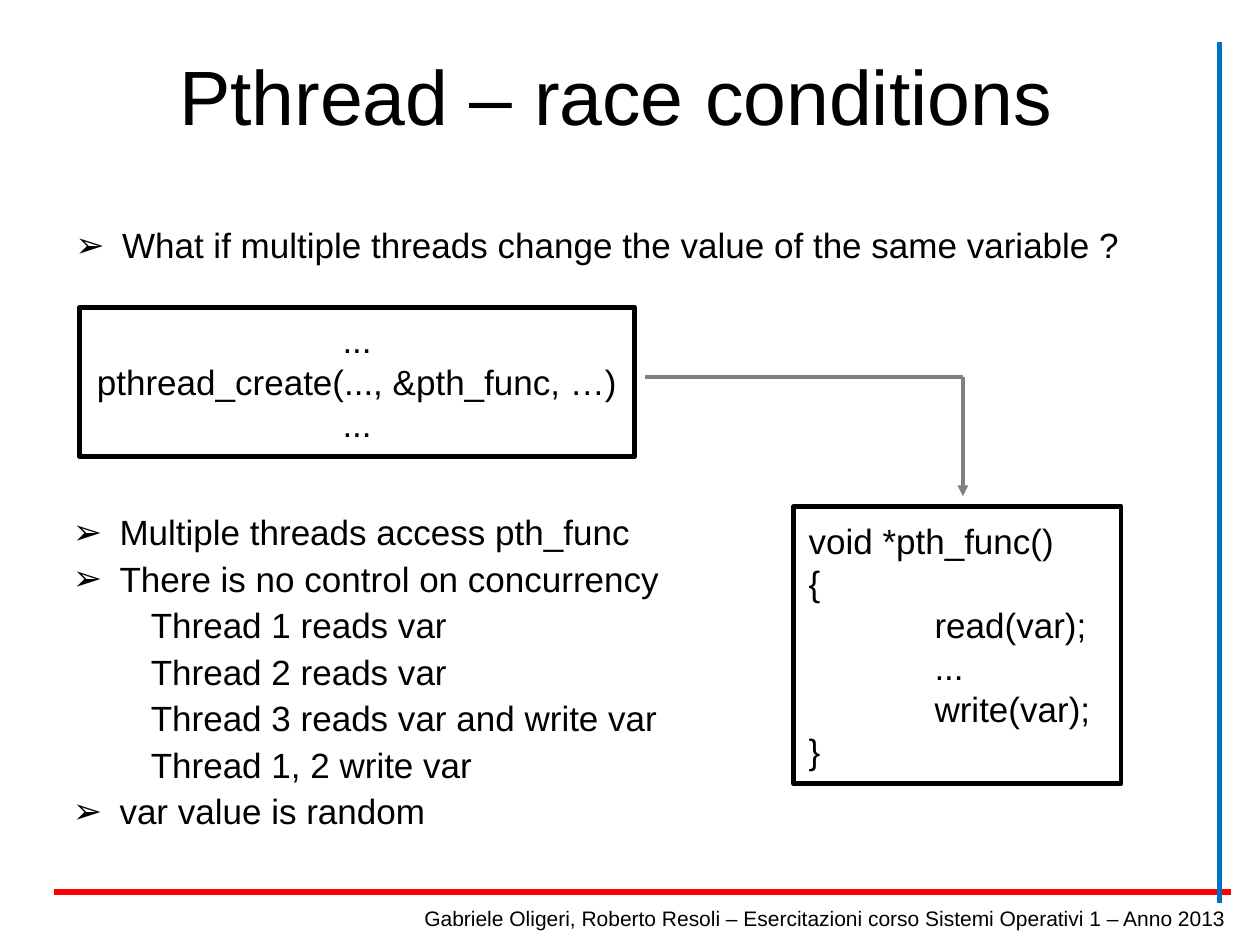
from pptx import Presentation
from pptx.dml.color import RGBColor
from pptx.enum.shapes import MSO_CONNECTOR, MSO_SHAPE
from pptx.enum.text import MSO_ANCHOR, MSO_AUTO_SIZE, PP_ALIGN
from pptx.oxml.ns import qn
from pptx.util import Cm, Pt
from lxml.etree import SubElement

FONT = "Arial"
COLORS = {"text": "000000", "rule": "FF0000", "side": "0070C0", "arrow": "808080"}
BULLET_INDENT = Cm(0.94)
STEP_INDENT = Cm(1.57)
CODE_INDENT = Cm(2.54)


def rgb(name):
    return RGBColor.from_string(COLORS[name])


def add_line(slide, start, end, color, width, arrow=False):
    points = [Cm(value) for value in (*start, *end)]
    line = slide.shapes.add_connector(MSO_CONNECTOR.STRAIGHT, *points)
    line.line.color.rgb = rgb(color)
    line.line.width = Pt(width)
    if arrow:
        SubElement(line.line._get_or_add_ln(), qn("a:tailEnd"), type="triangle")
    SubElement(line._element.spPr, qn("a:effectLst"))


def place(shape, left, top, width, height):
    shape.left, shape.top = Cm(left), Cm(top)
    shape.width, shape.height = Cm(width), Cm(height)


def set_frame(frame, inset_x, inset_y, anchor=MSO_ANCHOR.TOP, wrap=True):
    frame.auto_size = MSO_AUTO_SIZE.NONE
    frame.word_wrap = wrap
    frame.vertical_anchor = anchor
    frame.margin_left = frame.margin_right = Cm(inset_x)
    frame.margin_top = frame.margin_bottom = Cm(inset_y)


def next_paragraph(frame):
    """Return the first paragraph while it is empty, then a new one."""
    first = frame.paragraphs[0]
    return frame.add_paragraph() if first.runs else first


def write(frame, text, size=20, align=PP_ALIGN.LEFT, indent=0):
    paragraph = next_paragraph(frame)
    paragraph.alignment = align
    if indent:
        paragraph._p.get_or_add_pPr().set("marL", str(indent))
    run = paragraph.add_run()
    run.text = text
    run.font.name = FONT
    run.font.size = Pt(size)
    run.font.color.rgb = rgb("text")
    return paragraph


def write_list_item(frame, text, bullet=True):
    paragraph = write(frame, text, indent=BULLET_INDENT if bullet else STEP_INDENT)
    paragraph.line_spacing = 0.9
    paragraph.space_before = Pt(5)
    if bullet:
        properties = paragraph._p.get_or_add_pPr()
        properties.set("indent", str(-BULLET_INDENT))
        bullet_color = SubElement(properties, qn("a:buClr"))
        SubElement(bullet_color, qn("a:srgbClr"), val=COLORS["text"])
        SubElement(properties, qn("a:buFont"), typeface=FONT)
        SubElement(properties, qn("a:buChar"), char="➢")


def add_code_box(slide, box, lines, align):
    """Draw a framed box; each line is a pair of text and left indent."""
    code = slide.shapes.add_shape(MSO_SHAPE.RECTANGLE, *(Cm(value) for value in box))
    code.shadow.inherit = False
    code.fill.background()
    code.line.color.rgb = rgb("text")
    code.line.width = Pt(2.83)
    set_frame(code.text_frame, 0.3, 0.18, MSO_ANCHOR.MIDDLE)
    for text, indent in lines:
        write(code.text_frame, text, align=align, indent=indent)


def add_footer(slide):
    add_line(slide, (1.09, 17.98), (24.82, 17.98), "rule", 3)
    add_line(slide, (24.59, 0.84), (24.59, 18.21), "side", 3)
    footer = slide.shapes.add_textbox(Cm(8.28), Cm(18.16), Cm(16.69), Cm(0.74))
    set_frame(footer.text_frame, 0.25, 0.13, wrap=False)
    credit = "Gabriele Oligeri, Roberto Resoli – Esercitazioni corso Sistemi Operativi 1 – Anno 2013"
    write(footer.text_frame, credit, 12, PP_ALIGN.RIGHT).line_spacing = 0.93


def add_title_and_question(slide):
    title, question = slide.placeholders
    place(title, 0, 0.84, 24.84, 2.13)
    set_frame(title.text_frame, 0.25, 0.13, MSO_ANCHOR.BOTTOM)
    write(title.text_frame, "Pthread – race conditions", 44, PP_ALIGN.CENTER)
    place(question, 1.27, 4.47, 22.43, 2.9)
    set_frame(question.text_frame, 0.25, 0.13)
    write_list_item(
        question.text_frame,
        "What if multiple threads change the value of the same variable ?",
    )


def add_consequences(slide):
    consequences = slide.shapes.add_textbox(Cm(1.47), Cm(10.39), Cm(13.72), Cm(6.81))
    frame = consequences.text_frame
    set_frame(frame, 0, 0)
    write_list_item(frame, "Multiple threads access pth_func")
    write_list_item(frame, "There is no control on concurrency")
    for step in (
        "Thread 1 reads var",
        "Thread 2 reads var",
        "Thread 3 reads var and write var",
        "Thread 1, 2 write var",
    ):
        write_list_item(frame, step, bullet=False)
    write_list_item(frame, "var value is random")


def main():
    presentation = Presentation()
    presentation.slide_width, presentation.slide_height = Cm(25.4), Cm(19.05)
    slide = presentation.slides.add_slide(presentation.slide_layouts[1])

    add_footer(slide)
    add_title_and_question(slide)
    create_call = [("...", 0), ("pthread_create(..., &pth_func, …)", 0), ("...", 0)]
    add_code_box(slide, (1.6, 6.2, 11.2, 3), create_call, PP_ALIGN.CENTER)
    thread_function = [
        ("void *pth_func()", 0),
        ("{", 0),
        ("read(var);", CODE_INDENT),
        ("...", CODE_INDENT),
        ("write(var);", CODE_INDENT),
        ("}", 0),
    ]
    add_code_box(slide, (16, 10.21, 6.6, 5.59), thread_function, PP_ALIGN.LEFT)
    add_consequences(slide)

    corner = (19.41, 7.6)
    add_line(slide, corner, (19.41, 10), "arrow", 0, arrow=True)
    add_line(slide, corner, (13, 7.6), "arrow", 0)
    presentation.save("out.pptx")


if __name__ == "__main__":
    main()
